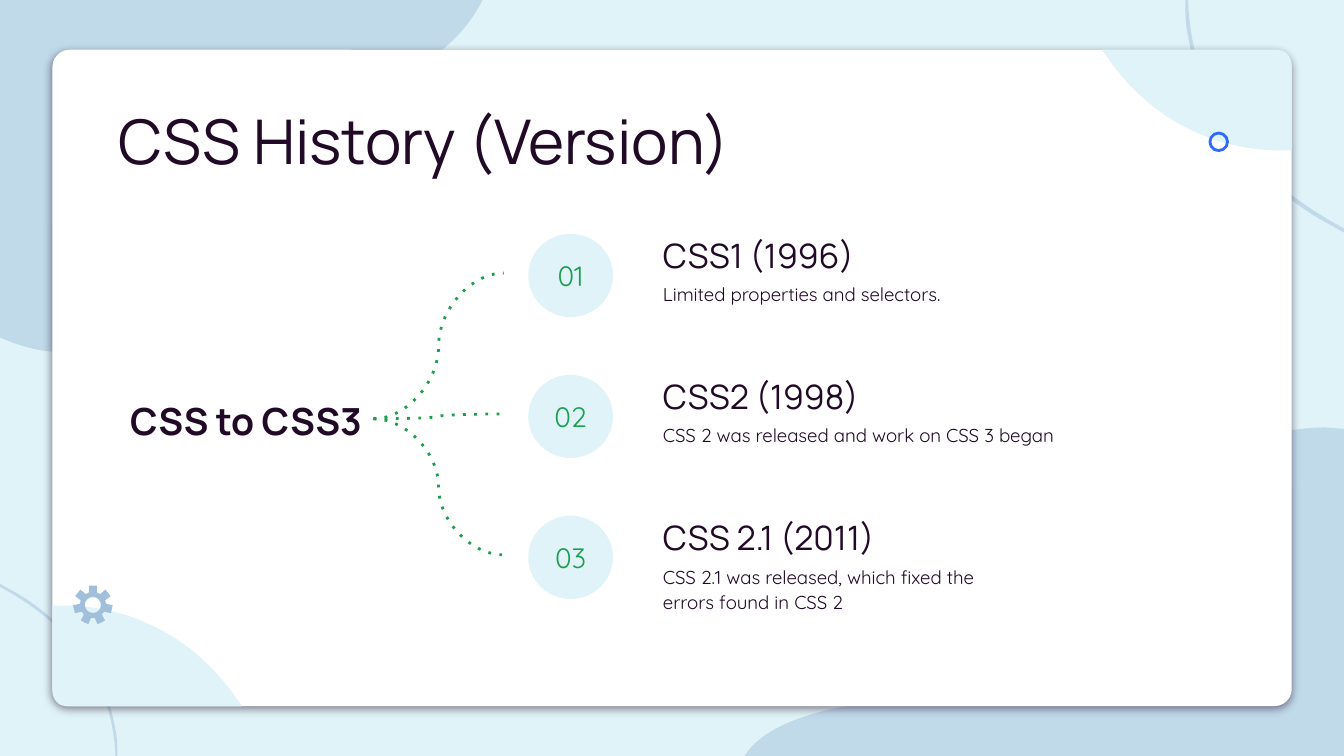
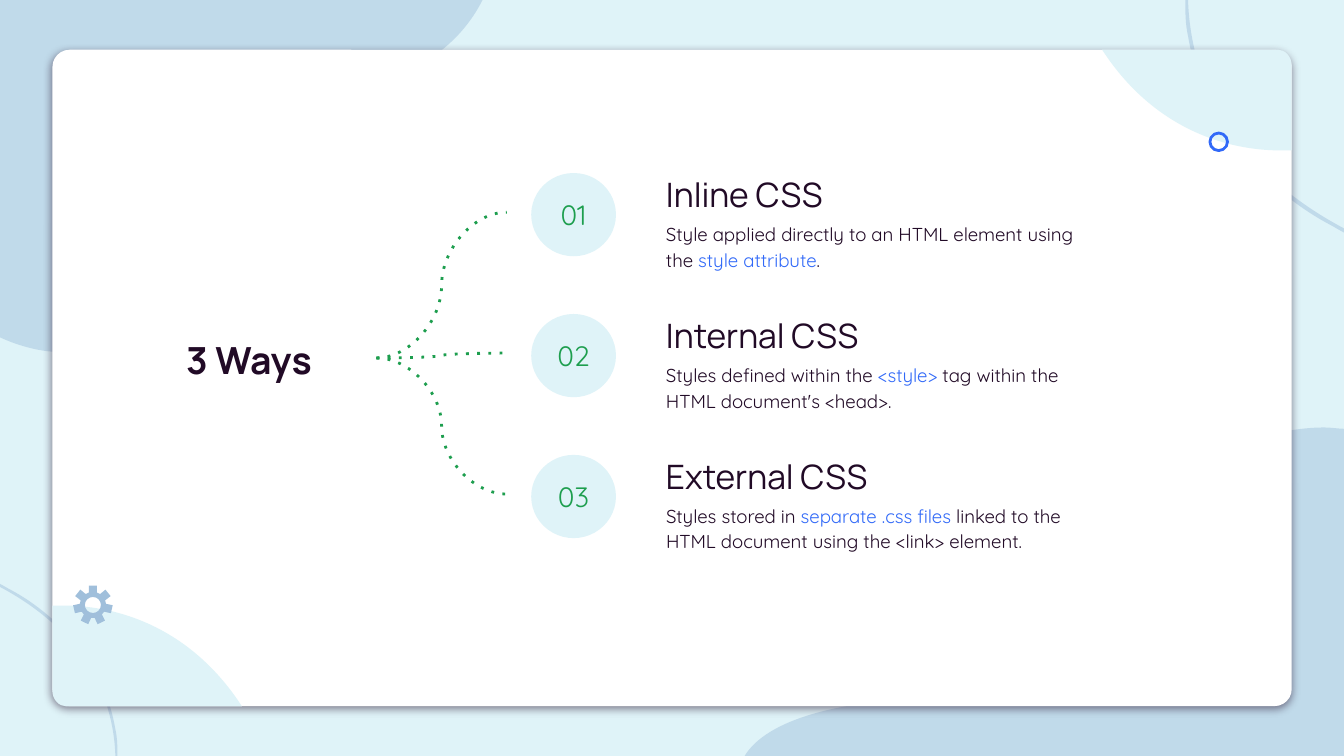
import math

from lxml import etree
from pptx import Presentation
from pptx.dml.color import RGBColor
from pptx.enum.dml import MSO_LINE
from pptx.enum.shapes import MSO_CONNECTOR, MSO_SHAPE
from pptx.enum.text import MSO_ANCHOR, PP_ALIGN
from pptx.oxml.ns import qn
from pptx.util import Pt

# Content: body texts alternate plain and accented runs.
SLIDES = [
    {"title": "CSS History (Version)", "topic": "CSS to CSS3", "origin": (283, 125.3),
     "items": [
         ("CSS1 (1996)", ["Limited properties and selectors."], 269.3),
         ("CSS2 (1998)", ["CSS 2 was released and work on CSS 3 began"], 269.3),
         ("CSS 2.1 (2011)",
          ["CSS 2.1 was released, which fixed the errors found in CSS 2"], 203.8)]},
    {"title": None, "topic": "3 Ways", "origin": (284.6, 92.7),
     "items": [
         ("Inline CSS", ["Style applied directly to an HTML element using the ",
                         "style attribute", "."], 233.3),
         ("Internal CSS", ["Styles defined within the ", "<style> ",
                           "tag within the HTML document's <head>."], 249.8),
         ("External CSS", ["Styles stored in ", "separate .css files ",
                           "linked to the HTML document using the <link> element."], 229.7)]},
]

INK = RGBColor(0x21, 0x0A, 0x26)
GREEN = RGBColor(0x1D, 0x9E, 0x4E)
BLUE = RGBColor(0x31, 0x69, 0xF8)
PALE = RGBColor(0xDF, 0xF3, 0xF8)
STEEL = RGBColor(0xA0, 0xBF, 0xDB)
WHITE = RGBColor(0xFF, 0xFF, 0xFF)
HEAD_FONT, BODY_FONT = "Manrope", "Quicksand"

OVAL, ROUNDED = MSO_SHAPE.OVAL, MSO_SHAPE.ROUNDED_RECTANGLE
CURVE, DOTTED = MSO_CONNECTOR.CURVE, MSO_LINE.ROUND_DOT
TOP, MIDDLE, BOTTOM = MSO_ANCHOR.TOP, MSO_ANCHOR.MIDDLE, MSO_ANCHOR.BOTTOM
LEFT, CENTER = PP_ALIGN.LEFT, PP_ALIGN.CENTER

WIDTH, HEIGHT = 720, 405
PITCH = 75.5
CARD = (28.1, 26.7, 663.9, 351.6)

# Outlines: a start point, then lines (x, y) and Bézier curves (six numbers).
ARC = [(636.5, 0), (637.2, 25.9, 645.8, 52.6, 661, 73.4),
       (676.8, 94.3, 697, 110.2, 720, 122.4), (720, 124.6),
       (717.1, 123.1, 715, 121.7, 712.1, 120.2),
       (693.4, 110.2, 676.8, 95.8, 663.1, 79.2),
       (649.4, 61.9, 640.1, 41, 636.5, 19.4), (635, 13, 635, 6.5, 635, 0)]
TOP_BLOB = [(32.4, 188.6), (15.8, 188.6, 0, 180.7, 0, 180.7), (0, 0), (258.5, 0),
            (225.4, 65.5, 123.1, 52.6, 80.6, 65.5),
            (38.2, 78.5, 85, 141.1, 61.9, 174.2),
            (54, 185.8, 43.2, 188.6, 32.4, 188.6)]
BOTTOM_BLOB = [(398.9, 405), (410.4, 385.9, 449.3, 373.7, 512.6, 373.7),
               (514.8, 373.7, 517, 373.7, 519.8, 373.7),
               (520.6, 373.7, 521.3, 373.7, 522, 373.7),
               (617, 373.7, 576.7, 290.2, 647.3, 246.2),
               (666, 234.7, 691.2, 229, 709.2, 229),
               (713.5, 229, 717.1, 229.7, 720, 229.7), (720, 405)]
CORNER = [(590.4, 26.6), (617, 67.7, 655.2, 80.6, 686.2, 80.6),
          (688.3, 80.6, 689.8, 80.6, 691.9, 80.6),
          (691.9, 34.6), (691.9, 30.2, 688.3, 26.6, 684.7, 26.6)]


def half_turn(outline, width=WIDTH, height=HEIGHT, scale=1):
    """Rotate by 180 degrees; width and height are twice the centre."""
    return [tuple(((height if k % 2 else width) - v * (1 if scale == 1 else 1)) * scale
                  if not k % 2 else height - v * scale
                  for k, v in enumerate(seg)) for seg in outline]


def own_half_turn(outline):
    """Rotate an outline by 180 degrees about the centre of its box."""
    xs, ys = zip(*(seg[-2:] for seg in outline))
    return half_turn(outline, min(xs) + max(xs), min(ys) + max(ys))


def paint(sp, fill=None, line=None, alpha=None):
    sp.shadow.inherit = False
    if fill is None:
        sp.fill.background()
    else:
        sp.fill.solid()
        sp.fill.fore_color.rgb = fill
    if alpha:
        color = sp._element.spPr.find(qn("a:solidFill")).find(qn("a:srgbClr"))
        etree.SubElement(color, qn("a:alpha"), val=str(alpha * 1000))
    if line is None:
        sp.line.fill.background()
    else:
        sp.line.color.rgb = line
        sp.line.width = Pt(1.5)


def bend(sp, segments):
    """Replace straight segments by the Bézier curves they stand for."""
    for line, seg in zip(list(sp._element.iter(qn("a:lnTo"))), segments):
        if len(seg) == 6:
            curve = etree.Element(qn("a:cubicBezTo"))
            for x, y in zip(seg[::2], seg[1::2]):
                etree.SubElement(curve, qn("a:pt"), x=str(Pt(x) - sp.left),
                                 y=str(Pt(y) - sp.top))
            line.getparent().replace(line, curve)


def add_outline(s, *contours, fill, alpha=None, turned=False):
    if turned:
        contours = [own_half_turn(contour) for contour in contours]
    builder = None
    for contour in contours:
        ends = [(Pt(seg[-2]), Pt(seg[-1])) for seg in contour]
        if builder is None:
            builder = s.shapes.build_freeform(*ends[0])
        else:
            builder.move_to(*ends[0])
        builder.add_line_segments(ends[1:], close=True)
    sp = builder.convert_to_shape()
    bend(sp, [seg for contour in contours for seg in contour[1:]])
    sp.rotation = 180 if turned else 0
    paint(sp, fill, alpha=alpha)


def add_preset(s, kind, x, y, w, h, **style):
    sp = s.shapes.add_shape(kind, Pt(x), Pt(y), Pt(w), Pt(h))
    paint(sp, **style)
    return sp


def write(sp, *runs, size, font=HEAD_FONT, color=INK, accent=BLUE, bold=False,
          align=LEFT, anchor=TOP, spacing=1.15):
    """Write one paragraph; every second run takes the accent colour."""
    tf = sp.text_frame
    tf.word_wrap = True
    tf.vertical_anchor = anchor
    tf.margin_left = tf.margin_right = tf.margin_top = tf.margin_bottom = Pt(7.2)
    p = tf.paragraphs[0]
    p.alignment = align
    p.line_spacing = spacing
    for i, text in enumerate(runs):
        r = p.add_run()
        r.text = text
        r.font.size = Pt(size)
        r.font.name = font
        r.font.bold = bold
        r.font.color.rgb = accent if i % 2 else color


def add_text(s, x, y, w, h, *runs, **fmt):
    write(s.shapes.add_textbox(Pt(x), Pt(y), Pt(w), Pt(h)), *runs, **fmt)


def add_card(s):
    card = add_preset(s, ROUNDED, *CARD, fill=WHITE)
    card.adjustments[0] = 0.026
    effects = card._element.spPr.find(qn("a:effectLst"))
    shadow = etree.SubElement(effects, qn("a:outerShdw"), blurRad=str(Pt(4.5)),
                              dist=str(Pt(1.5)), dir="5400000", algn="bl",
                              rotWithShape="0")
    color = etree.SubElement(shadow, qn("a:srgbClr"), val=str(INK))
    etree.SubElement(color, qn("a:alpha"), val="50000")


def add_backdrop(s):
    add_outline(s, ARC, fill=STEEL, alpha=48)
    for outline in (TOP_BLOB, BOTTOM_BLOB, half_turn(ARC, scale=0.74)):
        add_outline(s, outline, fill=STEEL, alpha=48, turned=True)
    add_card(s)
    add_outline(s, half_turn(CORNER), fill=PALE, turned=True)
    add_outline(s, CORNER, fill=PALE)


def add_gear(s, cx=49.8, cy=324.1, teeth=7, tip=10.6, root=7, hole=4.3):
    def at(radius, degrees):
        a = math.radians(degrees)
        return cx + radius * math.cos(a), cy + radius * math.sin(a)

    def arc(radius, start, sweep):
        pull = math.degrees(math.atan(4 / 3 * math.tan(math.radians(sweep / 4))))
        reach = radius / math.cos(math.radians(pull))
        return (at(reach, start + pull) + at(reach, start + sweep - pull)
                + at(radius, start + sweep))

    step = 360 / teeth
    rim = [at(root, -108)]
    for i in range(teeth):
        mid = i * step - 90
        rim += [at(tip, mid - 12), at(tip, mid + 12), at(root, mid + 18)]
        if i < teeth - 1:
            rim.append(arc(root, mid + 18, step - 36))
    bore = [at(hole, -90)] + [arc(hole, a, -90) for a in (-90, -180, -270, -360)]
    add_outline(s, bore, rim, fill=STEEL)


def add_branch(s, x1, y1, x2, y2):
    cn = s.shapes.add_connector(CURVE, Pt(x1), Pt(y1), Pt(x2), Pt(y2))
    cn.line.color.rgb = GREEN
    cn.line.width = Pt(1.5)
    cn.line.dash_style = DOTTED
    spPr = cn._element.spPr
    spPr.find(qn("a:ln")).find(qn("a:prstDash")).set("val", "dot")
    etree.SubElement(spPr, qn("a:effectLst"))


def add_items(s, topic, origin, items):
    """Draw the topic and its items from the first circle's corner."""
    x, top = origin
    for i, (heading, body, body_width) in enumerate(items):
        y = top + i * PITCH
        circle = add_preset(s, OVAL, x, y, 45.4, 44.6, fill=PALE)
        write(circle, f"{i + 1:02}", size=15, font=BODY_FONT, color=GREEN,
              align=CENTER, anchor=MIDDLE, spacing=1)
        add_text(s, x + 65.1, y - 11.7, 269.3, 41, heading, size=18, anchor=BOTTOM)
        add_text(s, x + 65.1, y + 17.6, body_width, 30.2, *body, size=10, font=BODY_FONT)
        if i == 0:
            add_text(s, x - 224.3, top + 77, 146.2, 29.5, topic, size=20, bold=True,
                     align=CENTER)


def add_branches(s, origin, count):
    x, top = origin
    for i in range(count):
        add_branch(s, x - 82.9, top + 99.1, x - 13.1, top + i * PITCH + 21)


def main():
    prs = Presentation()
    prs.slide_width, prs.slide_height = Pt(WIDTH), Pt(HEIGHT)
    blank = prs.slide_layouts[6]
    for content in SLIDES:
        s = prs.slides.add_slide(blank)
        s.background.fill.solid()
        s.background.fill.fore_color.rgb = PALE
        add_backdrop(s)
        if content["title"]:
            add_text(s, 56.2, 42.2, 607.6, 56.2, content["title"], size=33)
        add_items(s, content["topic"], content["origin"], content["items"])
        add_gear(s)
        add_preset(s, OVAL, 648.2, 71.3, 9.4, 9.4, line=BLUE)
        add_branches(s, content["origin"], len(content["items"]))
    prs.save("out.pptx")


if __name__ == "__main__":
    main()
